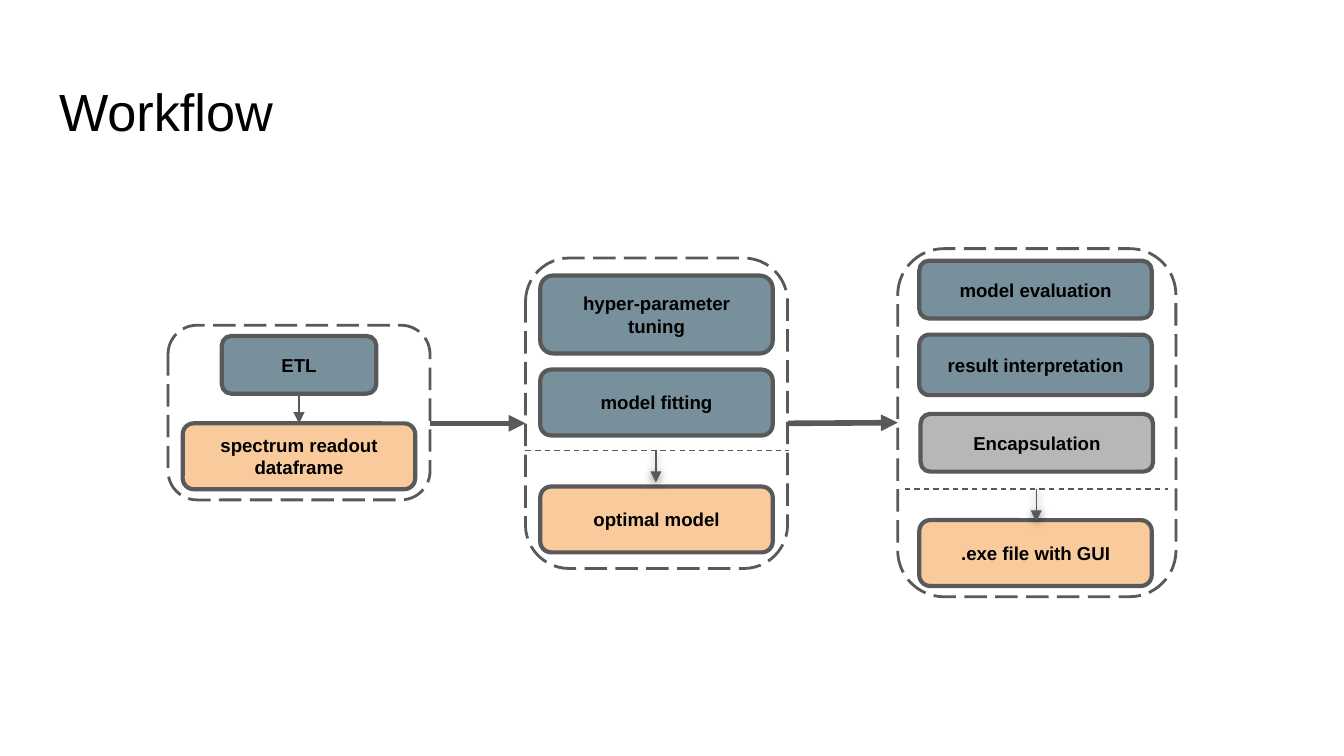
"""Build the Workflow slide: three dashed stages of boxes joined by arrows."""
from typing import NamedTuple, Optional

from pptx import Presentation
from pptx.dml.color import RGBColor
from pptx.enum.dml import MSO_LINE_DASH_STYLE as Dash
from pptx.enum.shapes import MSO_CONNECTOR as Conn, MSO_SHAPE as Shape
from pptx.enum.text import MSO_ANCHOR as Anchor, PP_ALIGN as Align
from pptx.oxml import parse_xml
from pptx.oxml.ns import nsdecls
from pptx.util import Inches, Pt

GREY, BLUE, ORANGE, SILVER = "595959", "78909C", "F9CB9C", "B7B7B7"
BOX_W, BOX_H = 1.73, 0.49
SLIDE_W = 10
SLIDE_H = SLIDE_W * 9 / 16
SHADOW = ('<a:outerShdw blurRad="57150" dist="19050" dir="5400000" algn="bl" rotWithShape="0">'
          '<a:srgbClr val="000000"><a:alpha val="50000"/></a:srgbClr></a:outerShdw>')


class Box(NamedTuple):
    text: str
    x: float
    y: float
    fill: str
    w: float = BOX_W
    h: float = BOX_H


class Frame(NamedTuple):
    x: float
    y: float
    w: float
    h: float


class Link(NamedTuple):
    x1: float
    y1: float
    x2: float
    y2: float
    width: float = 0.75
    dash: Optional[Dash] = None
    shadow: bool = False
    begin: Optional[str] = None
    end: Optional[str] = None
    sides: tuple = (2, 0)


FRAMES = {
    "data": Frame(1.25, 2.42, 1.95, 1.3),
    "model": Frame(3.91, 1.92, 1.95, 2.31),
    "delivery": Frame(6.68, 1.85, 2.07, 2.59),
}
BOXES = [
    Box("ETL", 1.65, 2.5, BLUE, 1.15, 0.43),
    Box("spectrum readout dataframe", 1.36, 3.15, ORANGE),
    Box("hyper-parameter tuning", 4.02, 2.05, BLUE, h=0.58),
    Box("model fitting", 4.02, 2.75, BLUE),
    Box("optimal model", 4.02, 3.62, ORANGE),
    Box("model evaluation", 6.84, 1.94, BLUE, h=0.43),
    Box("result interpretation", 6.84, 2.49, BLUE, h=0.45),
    Box("Encapsulation", 6.85, 3.08, SILVER, h=0.43),
    Box(".exe file with GUI", 6.84, 3.87, ORANGE),
]
LINKS = [
    Link(3.2, 3.15, 3.91, 3.15, width=3),
    Link(5.86, 3.15, 6.68, 3.15, width=3, end="delivery", sides=(3, 1)),
    Link(2.22, 2.93, 2.22, 3.15, begin="ETL", end="spectrum readout dataframe"),
    Link(4.88, 3.35, 4.88, 3.59, shadow=True),
    Link(3.91, 3.35, 5.87, 3.35, dash=Dash.DASH),
    Link(6.73, 3.64, 8.69, 3.64, dash=Dash.DASH),
    Link(7.71, 3.64, 7.71, 3.88, shadow=True),
]


def color(value: str) -> RGBColor:
    return RGBColor.from_string(value)


def set_attrs(obj, values: dict) -> None:
    for name, value in values.items():
        setattr(obj, name, value)


def set_line(line, width: float, dash: Optional[Dash] = None) -> None:
    line.color.rgb = color(GREY)
    line.width = Pt(width)
    if dash is not None:
        line.dash_style = dash


def write(tf, text: str, font: dict, align: Align, anchor: Anchor) -> None:
    margins = {f"margin_{side}": Inches(0.1) for side in ("left", "top", "right", "bottom")}
    set_attrs(tf, {"word_wrap": True, "vertical_anchor": anchor, **margins})
    p = tf.paragraphs[0]
    p.alignment = align
    r = p.add_run()
    r.text = text
    set_attrs(r.font, {"name": "Arial", **font})
    r.font.color.rgb = color("000000")


def add_round(s, x: float, y: float, w: float, h: float):
    sp = s.shapes.add_shape(Shape.ROUNDED_RECTANGLE, *map(Inches, (x, y, w, h)))
    sp.shadow.inherit = False
    return sp


def add_frame(s, frame: Frame):
    sp = add_round(s, *frame)
    sp.fill.background()
    set_line(sp.line, 1.5, Dash.LONG_DASH)
    return sp


def add_box(s, box: Box):
    sp = add_round(s, box.x, box.y, box.w, box.h)
    sp.fill.solid()
    sp.fill.fore_color.rgb = color(box.fill)
    set_line(sp.line, 2.25)
    write(sp.text_frame, box.text, {"size": Pt(10), "bold": True}, Align.CENTER, Anchor.MIDDLE)
    return sp


def add_link(s, link: Link, shapes: dict) -> None:
    cx = s.shapes.add_connector(Conn.STRAIGHT, *map(Inches, link[:4]))
    if link.begin:
        cx.begin_connect(shapes[link.begin], link.sides[0])
    if link.end:
        cx.end_connect(shapes[link.end], link.sides[1])
    set_line(cx.line, link.width, link.dash)
    if link.dash is None:
        cx.line._get_or_add_ln().append(parse_xml(f'<a:tailEnd {nsdecls("a")} type="triangle"/>'))
    effect = SHADOW if link.shadow else ""
    cx._element.spPr.append(parse_xml(f'<a:effectLst {nsdecls("a")}>{effect}</a:effectLst>'))


def main() -> None:
    prs = Presentation()
    set_attrs(prs, {"slide_width": Inches(SLIDE_W), "slide_height": Inches(SLIDE_H)})
    s = prs.slides.add_slide(prs.slide_layouts[5])
    title = s.shapes.title
    set_attrs(title, {"left": Inches(0.34), "top": Inches(0.49),
                      "width": Inches(9.32), "height": Inches(0.63)})
    write(title.text_frame, "Workflow", {"size": Pt(28)}, Align.LEFT, Anchor.TOP)
    shapes = {name: add_frame(s, frame) for name, frame in FRAMES.items()}
    shapes.update({box.text: add_box(s, box) for box in BOXES})
    for link in LINKS:
        add_link(s, link, shapes)
    prs.save("out.pptx")


if __name__ == "__main__":
    main()
